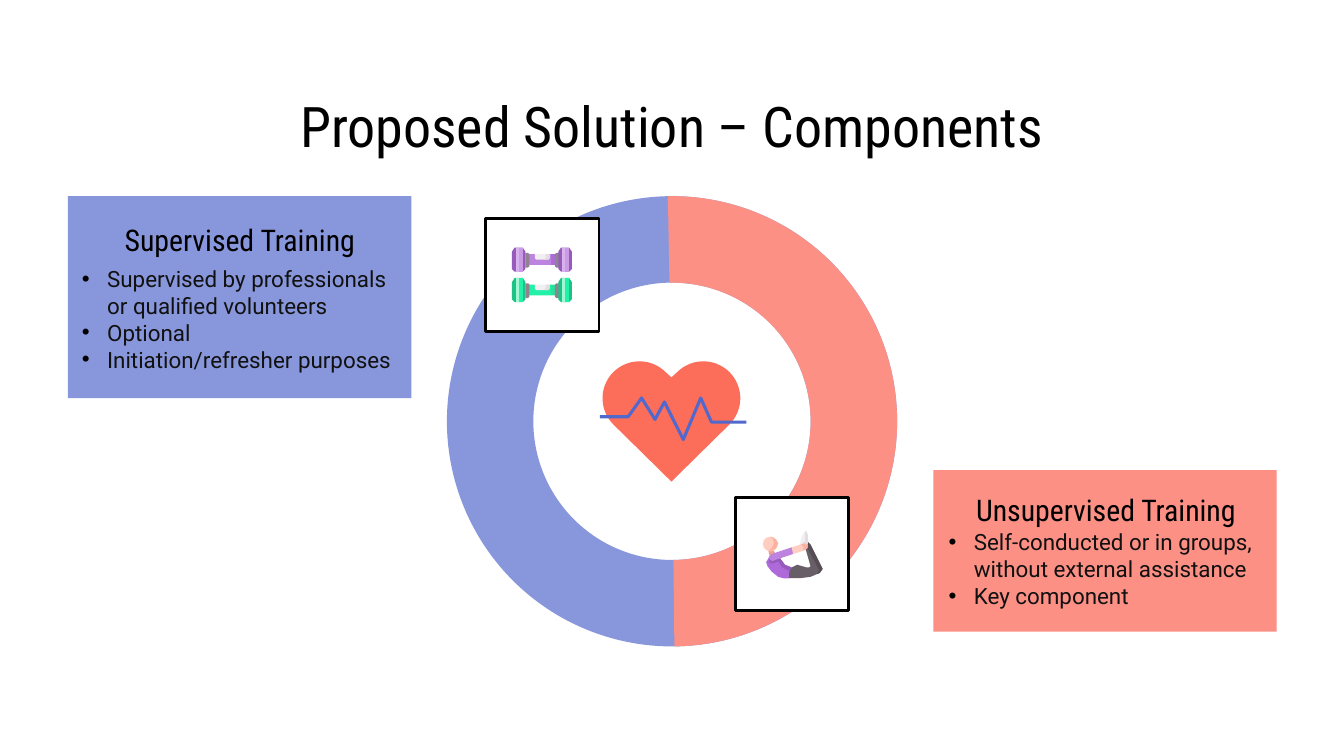
import math

import pptx
import pptx.dml.color
import pptx.enum.shapes
import pptx.enum.text
import pptx.oxml
import pptx.oxml.ns
import pptx.util

Pt = pptx.util.Pt
SHAPE = pptx.enum.shapes.MSO_SHAPE
ALIGN = pptx.enum.text.PP_ALIGN
ANCHOR = pptx.enum.text.MSO_ANCHOR

COLORS = {
    "black": "000000", "white": "FFFFFF", "body": "111111",
    "blue": "8897DC", "coral": "FC9085", "heart": "FC6D5A", "pulse": "5169CD",
    "purple": "BC83DF", "purple_shade": "AE6AD8", "purple_dark": "975BBB",
    "purple_light": "D8B2EC", "purple_mid": "CA9AE5",
    "green": "23F1A8", "green_shade": "27E19D", "green_dark": "1EC186",
    "green_light": "9FF7D3",
    "pale": "F2EFF2", "pale_shade": "E1DDE1", "collar": "918291",
    "legs": "685E67", "legs_shade": "554E55",
    "skin": "FFCEC0", "skin_shade": "FDB0A0", "neck": "EF9F92",
}
ICON_UNIT = 0.72  # points per step of the icon grids


def rgb(name):
    return pptx.dml.color.RGBColor.from_string(COLORS[name])


def write(frame, text, *, font, size, color="black", align=ALIGN.LEFT,
          anchor=ANCHOR.TOP, inset=7.2, bullet=False):
    """Fill a text frame, one paragraph for each line of text."""
    frame.text = text
    frame.word_wrap = True
    frame.auto_size = pptx.enum.text.MSO_AUTO_SIZE.NONE
    frame.vertical_anchor = anchor
    frame.margin_left = frame.margin_right = Pt(7.2)
    frame.margin_top = frame.margin_bottom = Pt(inset)
    for line in frame.paragraphs:
        line.alignment = align
        line.space_before = line.space_after = Pt(0)
        line.line_spacing = 1.0
        properties = line._p.get_or_add_pPr()
        hang = Pt(13.5) if bullet else 0
        properties.set("marL", str(hang))
        properties.set("indent", str(-hang))
        marks = ['buClr %s><a:srgbClr val="000000"/></a:buClr>', 'buFont %s typeface="Arial"/>',
                 'buChar %s char="•"/>'] if bullet else ['buNone %s/>']
        for mark in marks:
            properties.append(pptx.oxml.parse_xml("<a:" + mark % pptx.oxml.ns.nsdecls("a")))
        line.font.name = font
        line.font.size = Pt(size)
        line.font.bold = False
        line.font.color.rgb = rgb(color)


class Deck:
    heading_font = "Roboto Condensed"
    body_font = "Roboto"

    def __init__(self, width, height):
        self.file = pptx.Presentation()
        self.file.slide_width, self.file.slide_height = Pt(width), Pt(height)
        comparison = self.file.slide_layouts[4]
        self.slide = self.file.slides.add_slide(comparison)

    def paint(self, shape, fill=None, line=None, weight=1.5):
        shape.shadow.inherit = False
        if fill:
            shape.fill.solid()
            shape.fill.fore_color.rgb = rgb(fill)
        else:
            shape.fill.background()
        if line:
            shape.line.color.rgb = rgb(line)
            shape.line.width = Pt(weight)
        else:
            shape.line.fill.background()

    def shape(self, kind, box, fill, line=None, adjustments=()):
        shape = self.slide.shapes.add_shape(kind, *map(Pt, box))
        for index, value in enumerate(adjustments):
            shape.adjustments[index] = value
        self.paint(shape, fill, line)

    def outline(self, origin, points, fill=None, line=None, weight=1.5):
        """Draw a path given on an icon grid; it is closed when filled."""
        left, top = origin
        spots = [(Pt(left + x * ICON_UNIT), Pt(top + y * ICON_UNIT)) for x, y in points]
        builder = self.slide.shapes.build_freeform(*spots[0])
        builder.add_line_segments(spots[1:], close=fill is not None)
        self.paint(builder.convert_to_shape(), fill, line, weight)

    def placeholder(self, index, box, text, **style):
        holder = self.slide.placeholders[index]
        holder.left, holder.top, holder.width, holder.height = map(Pt, box)
        write(holder.text_frame, text, **style)
        # Bring the text in front of the card drawn before it
        self.slide.shapes._spTree.append(holder._element)

    def title(self, box, text):
        self.placeholder(0, box, text, font=self.heading_font, size=30,
                         align=ALIGN.CENTER, inset=3.6)

    def card(self, first_index, box, fill, heading, heading_box, items, items_box):
        self.shape(SHAPE.RECTANGLE, box, fill)
        self.placeholder(first_index, heading_box, heading, font=self.heading_font,
                         size=16, align=ALIGN.CENTER, anchor=ANCHOR.MIDDLE)
        self.placeholder(first_index + 1, items_box, "\n".join(items),
                         font=self.body_font, size=12, color="body", bullet=True)

    def dumbbell(self, origin, tone):
        def bar(left, right, top, bottom):
            return [(left, top), (right, top), (right, bottom), (left, bottom)]

        self.outline(origin, [(12, 5), (12, 13), (32, 13), (32, 5), (28, 5),
                              (27, 6), (18, 6), (17, 5)], tone)
        self.outline(origin, bar(29, 32, 5, 13), tone + "_shade")
        self.outline(origin, [(17, 5), (17, 8), (18, 9), (27, 9), (28, 8), (28, 5)], "pale")
        self.outline(origin, [(25, 5), (25, 8), (24, 9), (27, 9), (28, 8), (28, 5)], "pale_shade")
        collar = [(10, 4), (10, 15), (12, 15), (13, 14), (13, 5), (12, 4)]
        self.outline(origin, collar, "collar")
        self.outline(origin, [(45 - x, y) for x, y in collar], "collar")
        for x in (0, 34.5):
            self.outline(origin, [(x, 3), (x + 2, 0), (x + 8, 0), (x + 10, 3), (x + 10, 16),
                                  (x + 8, 18), (x + 2, 18), (x, 16)], tone + "_dark")
            self.outline(origin, bar(x + 3, x + 6, 0, 18), tone + "_light")
            self.outline(origin, bar(x + 5, x + 8, 0, 18),
                         "purple_mid" if tone == "purple" else tone)

    def stretching_figure(self, origin):
        left, top = origin
        for color, points in STRETCH_BODY:
            self.outline(origin, points, color)
        self.shape(SHAPE.OVAL, (left + 0.4, top + 2.9, 8.1, 7.9), "skin")
        for color, points in STRETCH_FRONT:
            self.outline(origin, points, color)


# Parts of the stretching figure, back to front, before and after the head
STRETCH_BODY = [
    ("purple_shade", [(9, 16), (6, 18), (3, 23), (4, 26), (7, 30), (12, 34), (16, 35), (20, 35),
                      (22, 27), (17, 25), (14, 21), (11, 17)]),
    ("purple_dark", [(11, 18), (7, 19), (5, 23), (7, 24), (8, 24), (14, 22)]),
    ("purple_dark", [(9, 16), (6, 18), (8, 18), (11, 21), (15, 27), (21, 30), (22, 27),
                     (17, 25), (14, 21), (11, 17)]),
    ("legs", [(34, 8), (32, 10), (32, 12), (34, 19), (36, 26), (35, 27), (33, 27), (26, 25),
              (22, 27), (20, 31), (20, 35), (28, 35), (36, 34), (43, 31), (45, 28),
              (44, 26), (36, 10)]),
    ("legs_shade", [(34, 8), (32, 10), (33, 11), (42, 28), (42, 30), (41, 32), (43, 31),
                    (45, 28), (44, 26), (36, 10)]),
    ("neck", [(8, 11), (4, 12), (6, 20), (10, 19)]),
]
STRETCH_FRONT = [
    ("skin_shade", [(6, 4), (8, 6), (9, 9), (7, 13), (5, 14), (6, 15), (10, 13), (12, 9), (10, 6)]),
    ("pale", [(33, 0), (32, 0), (30, 3), (28, 10), (28, 12), (32, 13), (33, 12), (34, 9), (34, 3)]),
    ("pale_shade", [(33, 0), (32, 1), (32, 8), (31, 8), (30, 12), (32, 13), (33, 12),
                    (34, 9), (34, 3)]),
    ("purple", [(22, 12), (7, 17), (5, 19), (5, 20), (7, 22), (8, 22), (23, 17), (23, 13)]),
    ("skin", [(31, 9), (22, 12), (23, 17), (32, 14), (34, 11), (33, 9)]),
    ("skin_shade", [(31, 9), (29, 10), (31, 12), (30, 14), (32, 14), (34, 12), (33, 10)]),
]


def main():
    deck = Deck(720, 405)

    # Two-part ring
    ring = (239.4, 105.1, 241.2, 241.2)
    deck.shape(SHAPE.DONUT, ring, "blue", adjustments=[0.192])
    deck.shape(SHAPE.BLOCK_ARC, ring, "coral", adjustments=[161.37, 53.64, 0.192])

    # Icon tiles
    for corner in ((394, 266.4), (260.1, 117)):
        deck.shape(SHAPE.RECTANGLE, (*corner, 60.8, 60.8), "white", line="black")
    deck.dumbbell((274.3, 132.6), "purple")
    deck.dumbbell((274.3, 148.9), "green")
    deck.stretching_figure((408.3, 284.6))

    # Heart: a round lobe mirrored about the tip, with a pulse line
    lobe = [(30 + 27.5 * math.cos(math.radians(angle)), 27.5 + 27.5 * math.sin(math.radians(angle)))
            for angle in range(135, 316, 6)]
    tip = 53.75
    mirrored = [(2 * tip - x, y) for x, y in reversed(lobe)]
    deck.outline((321, 193.6), lobe + [(tip, 12)] + mirrored + [(tip, 89.5)], "heart")
    deck.outline((321.4, 213.2), [(0, 14), (21, 14), (31, 0), (41, 16), (48, 3), (62, 31), (75, 0),
                                  (83, 18), (109, 18)], line="pulse", weight=1.64)

    # Training cards
    deck.card(1, (36.4, 105.1, 184, 108.2), "blue",
              "Supervised Training", (36.7, 110.2, 183.6, 36),
              ["Supervised by professionals or qualified volunteers", "Optional",
               "Initiation/refresher purposes"], (36.7, 134.8, 183, 74))
    deck.card(3, (500, 251.8, 184, 86.6), "coral",
              "Unsupervised Training", (501, 258.8, 183, 28),
              ["Self-conducted or in groups, without external assistance", "Key component"],
              (501, 275.8, 183, 70.6))

    deck.title((0, 45.4, 720, 44), "Proposed Solution – Components")
    deck.file.save("out.pptx")


if __name__ == "__main__":
    main()
